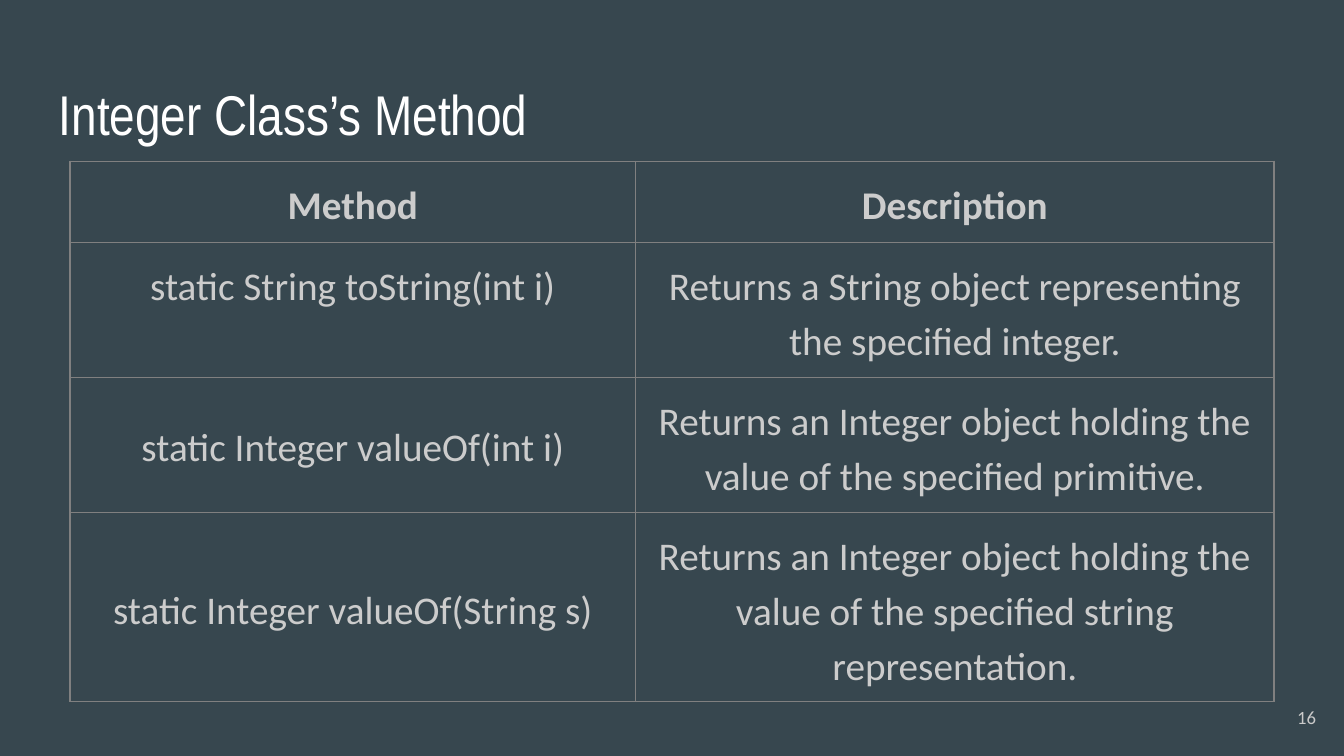
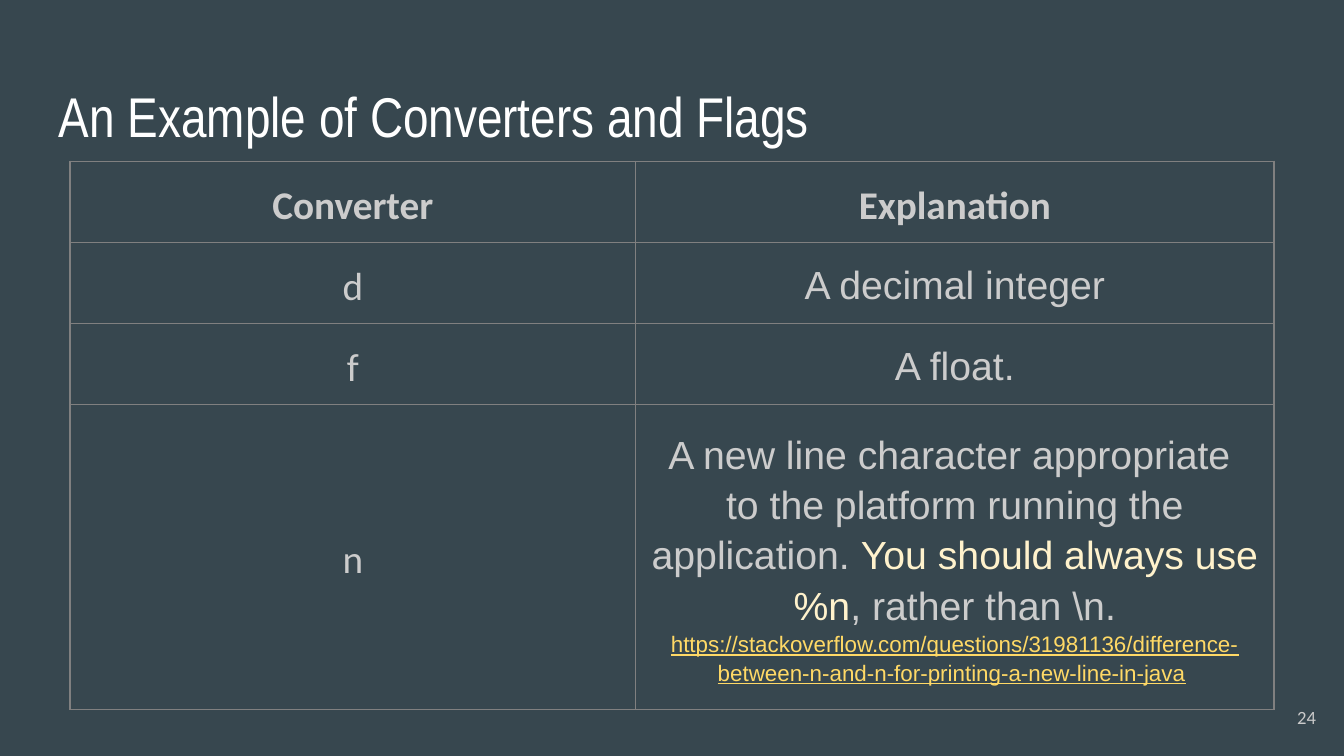
from dataclasses import dataclass

from lxml import etree
from pptx import Presentation
from pptx.dml.color import RGBColor
from pptx.enum.text import MSO_ANCHOR, PP_ALIGN
from pptx.oxml.ns import qn
from pptx.slide import Slide
from pptx.table import _Cell
from pptx.text.text import TextFrame
from pptx.util import Inches, Pt

TOP, MIDDLE = MSO_ANCHOR.TOP, MSO_ANCHOR.MIDDLE
LEFT, CENTER, RIGHT = PP_ALIGN.LEFT, PP_ALIGN.CENTER, PP_ALIGN.RIGHT

BACKGROUND = "37474F"
WHITE = "FFFFFF"
BODY = "CCCCCC"
NUMBER = "CACACA"
BORDER = "808080"
ADVICE = "FFF2CC"
SOURCE = "FFD966"

TITLE_FONT, LABEL_FONT, PROSE_FONT = "Arial Narrow", "Calibri", "Arial"
SLIDE_WIDTH = Inches(10)
SLIDE_HEIGHT = SLIDE_WIDTH * 9 // 16
COLUMN_WIDTHS = (4.21, 4.75)
FRAME_SIDE = Inches(3.28)
INSET = Inches(0.1)
BORDER_WIDTH = Pt(0.75)


@dataclass(frozen=True)
class Span:
    """A piece of a paragraph; unset fields follow the surrounding text."""

    text: str
    color: str | None = None
    size: float | None = None
    underline: bool | None = None
    new_line: bool = False


Paragraphs = tuple[tuple[Span, ...], ...]


@dataclass(frozen=True)
class Row:
    """A table row: a label, its meaning and the row height in inches."""

    label: str
    meaning: str | Paragraphs
    height: float
    label_anchor: MSO_ANCHOR = MIDDLE


@dataclass(frozen=True)
class Page:
    """A titled slide with a two-column table."""

    title: str
    title_top: float
    number: int
    prose_font: str
    header: Row
    rows: tuple[Row, ...]


PAGES = (
    Page(
        "Integer Class’s Method", 0.49, 16, LABEL_FONT,
        Row("Method", "Description", 0.57),
        (
            Row("static String toString(int i)",
                "Returns a String object representing the specified integer.",
                0.96, TOP),
            Row("static Integer valueOf(int i)",
                "Returns an Integer object holding the value of the specified primitive.",
                0.96),
            Row("static Integer valueOf(String s)",
                "Returns an Integer object holding the value of the specified string representation.",
                1.34),
        ),
    ),
    Page(
        "An Example of Converters and Flags", 0.51, 24, PROSE_FONT,
        Row("Converter", "Explanation", 0.57),
        (
            Row("d", "A decimal integer", 0.11),
            Row("f", "A float.", 0.48),
            Row("n", (
                (Span("A new line character appropriate "),),
                (
                    Span("to the platform running the application. "),
                    Span("You should always use %n", color=ADVICE),
                    Span(", rather than \\n."),
                    Span("https://stackoverflow.com/questions/31981136/difference-"
                         "between-n-and-n-for-printing-a-new-line-in-java",
                         color=SOURCE, size=12, underline=True, new_line=True),
                    Span(" ", size=12),
                ),
            ), 1.34),
        ),
    ),
)


def rgb(color: str) -> RGBColor:
    """Turn a hex string into a colour."""
    return RGBColor.from_string(color)


def write(frame: TextFrame, content: str | Paragraphs, *, font: str, size: float,
          color: str, align: PP_ALIGN, bold: bool = False,
          spacing: float | None = None) -> None:
    """Fill a text frame with formatted paragraphs."""
    paragraphs = ((Span(content),),) if isinstance(content, str) else content
    for index, spans in enumerate(paragraphs):
        paragraph = frame.add_paragraph() if index else frame.paragraphs[0]
        paragraph.alignment = align
        paragraph.line_spacing = spacing
        for span in spans:
            if span.new_line:
                paragraph.add_line_break()
            run = paragraph.add_run()
            run.text = span.text
            run.font.name = font
            run.font.size = Pt(span.size or size)
            run.font.bold = bold
            run.font.underline = span.underline
            run.font.color.rgb = rgb(span.color or color)


def add_label(slide: Slide, text: str, left: float, top: float, width: float,
              height: float, *, anchor: MSO_ANCHOR, font: str, size: float,
              color: str, align: PP_ALIGN) -> None:
    """Add a wrapped text box with the shared inset."""
    frame = slide.shapes.add_textbox(
        Inches(left), Inches(top), Inches(width), Inches(height)).text_frame
    frame.word_wrap = True
    frame.vertical_anchor = anchor
    frame.margin_left = frame.margin_right = INSET
    frame.margin_top = frame.margin_bottom = INSET
    write(frame, text, font=font, size=size, color=color, align=align)


def style_cell(cell: _Cell, anchor: MSO_ANCHOR) -> None:
    """Give a cell its borders, inset and clear fill."""
    properties = cell._tc.get_or_add_tcPr()
    for side in ("a:lnL", "a:lnR", "a:lnT", "a:lnB"):
        line = etree.SubElement(properties, qn(side), w=str(BORDER_WIDTH))
        fill = etree.SubElement(line, qn("a:solidFill"))
        etree.SubElement(fill, qn("a:srgbClr"), val=BORDER)
    cell.fill.background()
    cell.vertical_anchor = anchor
    cell.margin_left = cell.margin_right = INSET
    cell.margin_top = cell.margin_bottom = INSET


def add_method_table(slide: Slide, page: Page) -> None:
    """Add the bordered table with its bold header row."""
    rows = (page.header, *page.rows)
    holder = slide.shapes.add_table(
        len(rows), len(COLUMN_WIDTHS), Inches(0.52), Inches(1.2),
        FRAME_SIDE, FRAME_SIDE)
    table = holder.table
    table.first_row = table.horz_banding = False
    for column, width in zip(table.columns, COLUMN_WIDTHS):
        column.width = Inches(width)
    for index, row in enumerate(rows):
        is_header = index == 0
        table.rows[index].height = Inches(row.height)
        meaning_font = LABEL_FONT if is_header else page.prose_font
        entries = ((row.label, LABEL_FONT, row.label_anchor),
                   (row.meaning, meaning_font, MIDDLE))
        for position, (content, font, anchor) in enumerate(entries):
            cell = table.cell(index, position)
            style_cell(cell, anchor)
            write(cell.text_frame, content, font=font, size=21, color=BODY,
                  align=CENTER, bold=is_header, spacing=1.15)
    holder.width = holder.height = FRAME_SIDE


def add_page(deck: Presentation, page: Page) -> None:
    """Add one slide with its title, number and table."""
    slide = deck.slides.add_slide(deck.slide_layouts[6])
    slide.background.fill.solid()
    slide.background.fill.fore_color.rgb = rgb(BACKGROUND)
    add_label(slide, page.title, 0.34, page.title_top, 9.32, 0.63, anchor=TOP,
              font=TITLE_FONT, size=30, color=WHITE, align=LEFT)
    add_label(slide, str(page.number), 9.29, 5.12, 0.6, 0.43, anchor=MIDDLE,
              font=LABEL_FONT, size=10, color=NUMBER, align=RIGHT)
    add_method_table(slide, page)


def main() -> None:
    """Build and save the deck."""
    deck = Presentation()
    deck.slide_width, deck.slide_height = SLIDE_WIDTH, SLIDE_HEIGHT
    for page in PAGES:
        add_page(deck, page)
    deck.save("out.pptx")


if __name__ == "__main__":
    main()
